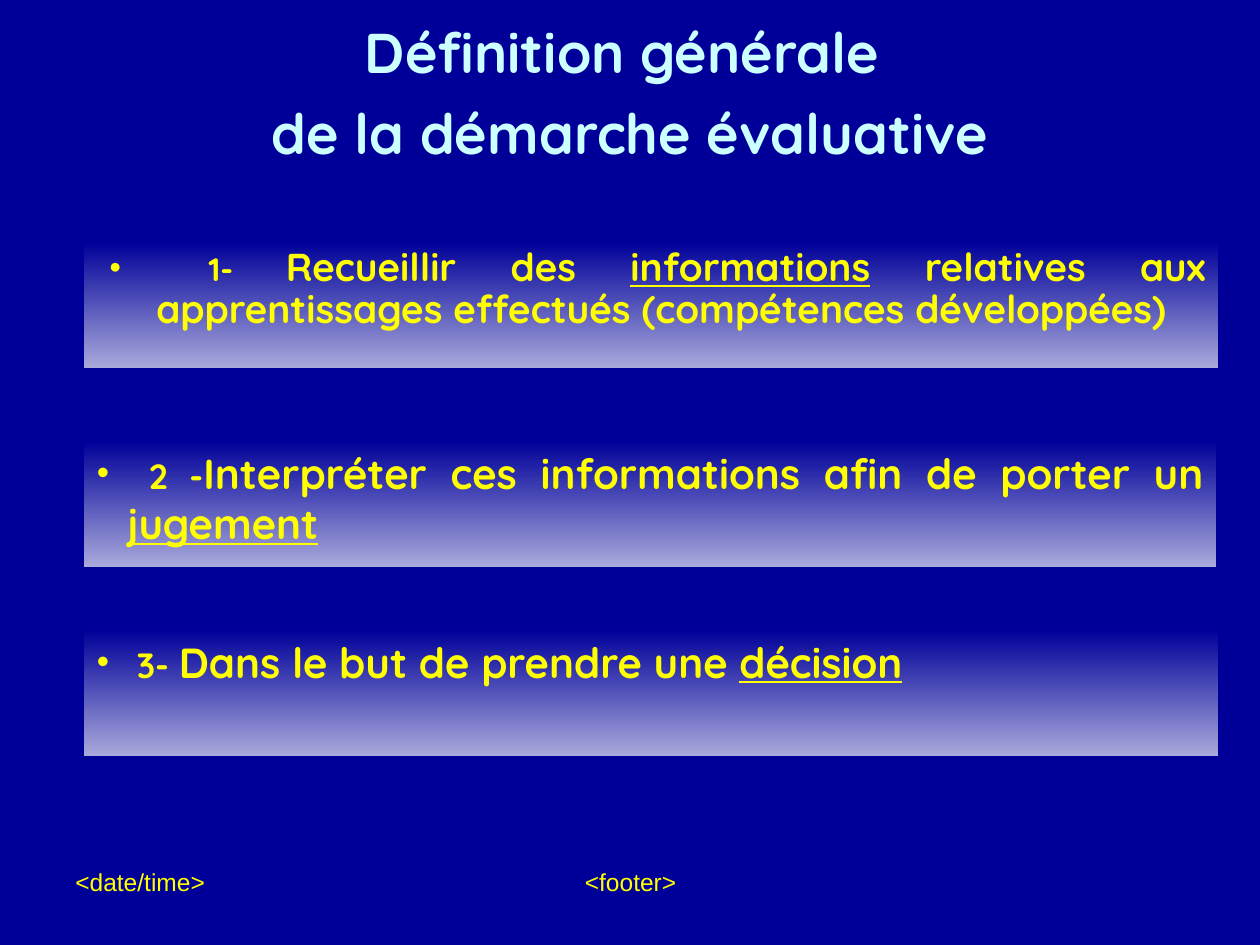
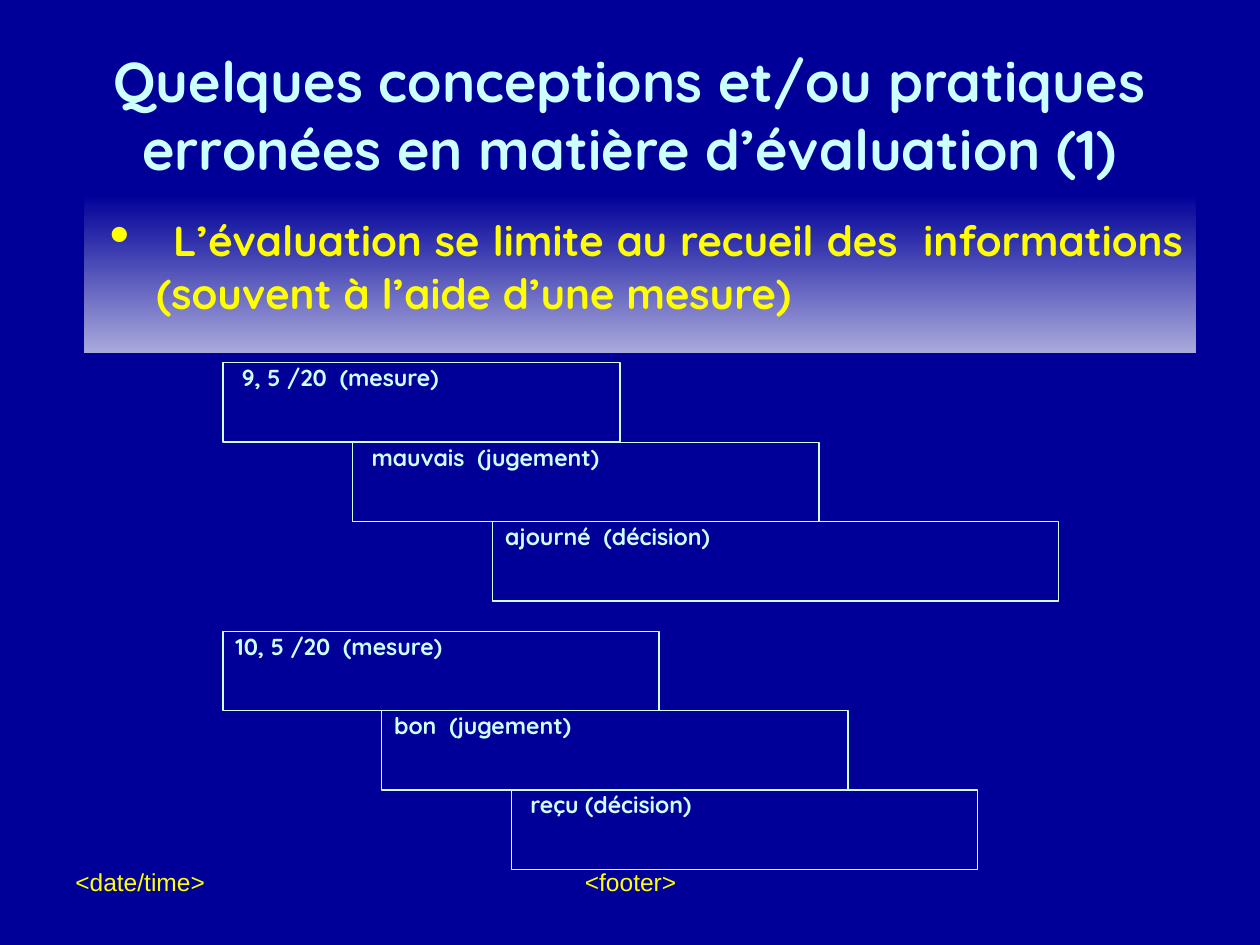
"""Build two slides on the evaluation process and mistaken practices."""
import pptx
import pptx.util
import pptx.dml.color
import pptx.enum.shapes
import pptx.enum.text
import pptx.oxml
import pptx.oxml.ns

Inches = pptx.util.Inches
Pt = pptx.util.Pt
RGBColor = pptx.dml.color.RGBColor
ALIGN = pptx.enum.text.PP_ALIGN
ANCHOR = pptx.enum.text.MSO_ANCHOR

NAVY = RGBColor(0x00, 0x00, 0x99)
LAVENDER = RGBColor(0xA9, 0xA9, 0xDC)
YELLOW = RGBColor(0xFF, 0xFF, 0x00)
ICE = RGBColor(0xCC, 0xFF, 0xFF)
HEADING_FONT = "Quicksand"
FOOTER_FONT = "Arial"


def add_run(paragraph, text, size, colour, font=HEADING_FONT, bold=True, underline=False):
    run = paragraph.add_run()
    run.text = text
    run.font.name = font
    run.font.size = Pt(size)
    run.font.bold = bold
    run.font.underline = underline
    run.font.color.rgb = colour


def format_band(band, left, top, width, height, margin, hanging, spacing=1.0):
    band.left, band.top = Inches(left), Inches(top)
    band.width, band.height = Inches(width), Inches(height)
    band.fill.gradient()
    band.fill.gradient_angle = 270
    for stop, colour, position in zip(band.fill.gradient_stops, (NAVY, LAVENDER), (0, 1)):
        stop.color.rgb = colour
        stop.position = position
    frame = band.text_frame
    frame.word_wrap = True
    frame.auto_size = pptx.enum.text.MSO_AUTO_SIZE.NONE
    frame.vertical_anchor = ANCHOR.TOP
    point = frame.paragraphs[0]
    properties = point._p.get_or_add_pPr()
    properties.set("marL", str(Inches(margin)))
    properties.set("indent", str(-Inches(hanging)))
    namespace = pptx.oxml.ns.nsdecls("a")
    for bullet in (
        f'<a:buClr {namespace}><a:srgbClr val="{YELLOW}"/></a:buClr>',
        f'<a:buFont {namespace} typeface="Arial"/>',
        f'<a:buChar {namespace} char="•"/>',
    ):
        properties.append(pptx.oxml.parse_xml(bullet))
    point.alignment = ALIGN.JUSTIFY
    point.line_spacing = spacing
    point.space_before = Pt(0)
    return point


prs = pptx.Presentation()
prs.slide_width, prs.slide_height = Inches(10), Inches(7.5)
background = prs.slide_master.background.fill
background.solid()
background.fore_color.rgb = NAVY
layout = prs.slide_layouts[1]

headings = [
    (0, 1.46, ["Définition générale ", "de la démarche évaluative"]),
    (0.28, 1.25, ["Quelques conceptions et/ou pratiques erronées en matière d’évaluation (1)"]),
]
footers = [
    (0.5, 2.33, "<date/time>", ALIGN.LEFT),
    (3.42, 3.17, "<footer>", ALIGN.CENTER),
]
for title_top, title_height, title_lines in headings:
    slide = prs.slides.add_slide(layout)
    for left, width, text, alignment in footers:
        footer = slide.shapes.add_textbox(Inches(left), Inches(6.83), Inches(width), Inches(0.52))
        footer.text_frame.word_wrap = True
        footer_line = footer.text_frame.paragraphs[0]
        footer_line.alignment = alignment
        add_run(footer_line, text, 14, YELLOW, FOOTER_FONT, bold=False)
    title = slide.shapes.title
    title.left, title.top = Inches(0.75), Inches(title_top)
    title.width, title.height = Inches(8.5), Inches(title_height)
    title.text_frame.auto_size = pptx.enum.text.MSO_AUTO_SIZE.NONE
    title.text_frame.vertical_anchor = ANCHOR.MIDDLE
    for number, text in enumerate(title_lines):
        title_line = title.text_frame.add_paragraph() if number else title.text_frame.paragraphs[0]
        title_line.alignment = ALIGN.CENTER
        title_line.space_before = Pt(8 if number else 0)
        add_run(title_line, text, 32, ICE)

definition, misconceptions = prs.slides

collect = format_band(definition.placeholders[1], 0.67, 1.92, 9, 1, 0.47, 0.37, 0.9)
add_run(collect, " 1- ", 18.5, YELLOW)
add_run(collect, "Recueillir des ", 22.2, YELLOW)
add_run(collect, "informations", 22.2, YELLOW, underline=True)
add_run(collect, " relatives aux apprentissages effectués (compétences développées)", 22.2, YELLOW)

later_steps = [
    (3.5, 8.98, " 2 -", "Interpréter ces informations afin de porter un ", "jugement"),
    (5, 9, " 3- ", "Dans le but de prendre une ", "décision"),
]
for top, width, step_number, action, outcome in later_steps:
    step_band = definition.shapes.add_textbox(0, 0, 0, 0)
    step = format_band(step_band, 0.67, top, width, 1, 0.24, 0.24)
    add_run(step, step_number, 20, YELLOW)
    add_run(step, action, 24, YELLOW)
    add_run(step, outcome, 24, YELLOW, underline=True)

limit = format_band(misconceptions.placeholders[1], 0.67, 1.54, 8.82, 1.26, 0.47, 0.37)
add_run(limit, " ", 32, YELLOW, FOOTER_FONT, bold=False)
add_run(limit, "L’évaluation se limite au recueil des  informations (souvent à l’aide d’une mesure)", 24, YELLOW)

STEP_HEIGHT = 0.63
cascades = [
    (2.88, [
        (1.77, 3.15, 0.05, "9, 5 /20  (mesure)"),
        (2.8, 3.7, 0.05, "mauvais  (jugement)"),
        (3.91, 4.49, 0, "ajourné  (décision)"),
    ]),
    (5.01, [
        (1.77, 3.46, 0, "10, 5 /20  (mesure)"),
        (3.03, 3.7, 0, "bon  (jugement)"),
        (4.06, 3.7, 0.05, "reçu (décision)"),
    ]),
]
for cascade_top, stages in cascades:
    for row, (left, width, indent, text) in enumerate(stages):
        stage = misconceptions.shapes.add_shape(
            pptx.enum.shapes.MSO_SHAPE.RECTANGLE,
            Inches(left), Inches(cascade_top + row * STEP_HEIGHT), Inches(width), Inches(STEP_HEIGHT))
        stage.shadow.inherit = False
        stage.fill.background()
        stage.line.color.rgb = ICE
        stage.line.width = Pt(0.75)
        stage.text_frame.word_wrap = True
        stage.text_frame.vertical_anchor = ANCHOR.TOP
        stage.text_frame.margin_left = Inches(0.1 + indent)
        stage_line = stage.text_frame.paragraphs[0]
        stage_line.alignment = ALIGN.LEFT
        stage_line.line_spacing = 0.8
        add_run(stage_line, text, 13.2, ICE)

prs.save("out.pptx")
